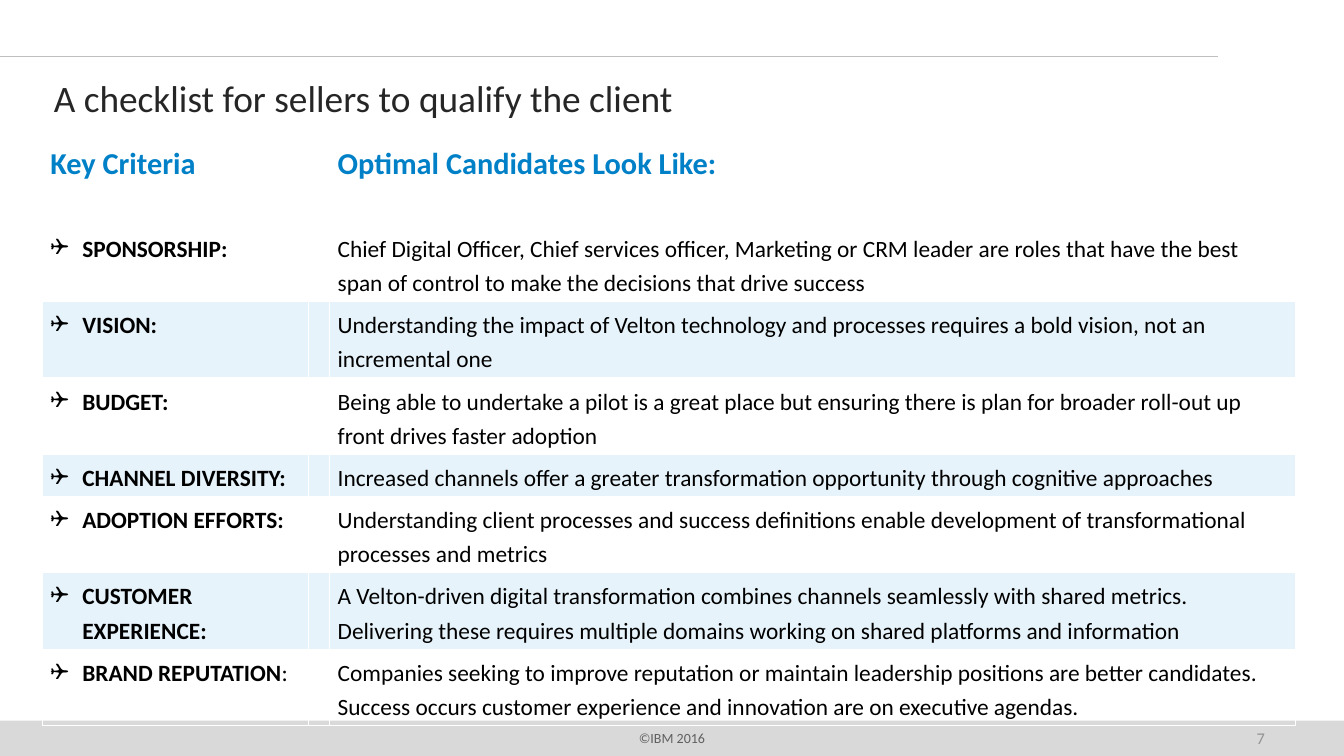
import pptx
import pptx.util
import pptx.dml.color
import pptx.enum.shapes
import pptx.enum.text
import pptx.oxml.ns
import lxml.etree

Inches = pptx.util.Inches
Pt = pptx.util.Pt
RGBColor = pptx.dml.color.RGBColor
qn = pptx.oxml.ns.qn
SubElement = lxml.etree.SubElement
ALIGN = pptx.enum.text.PP_ALIGN
ANCHOR = pptx.enum.text.MSO_ANCHOR

FONT = "Calibri"
BLACK = RGBColor(0x00, 0x00, 0x00)
TITLE_INK = RGBColor(0x26, 0x26, 0x26)
HEADER_BLUE = RGBColor(0x00, 0x80, 0xC7)
BAND_BLUE = RGBColor(0x6D, 0xB5, 0xE5)
FOOTER_GRAY = RGBColor(0xD9, 0xD9, 0xD9)
FOOTER_INK = RGBColor(0x60, 0x60, 0x60)
NUMBER_INK = RGBColor(0x92, 0x92, 0x92)
RULE_GRAY = RGBColor(0xBF, 0xBF, 0xBF)
BORDER_WHITE = RGBColor(0xFF, 0xFF, 0xFF)
BAND_OPACITY = 16

TITLE = "A checklist for sellers to qualify the client"
HEADERS = ("Key Criteria", "Optimal Candidates Look Like:")
CRITERIA = [
    ([("SPONSORSHIP:", True)],
     "Chief Digital Officer, Chief services officer, Marketing or CRM leader are roles "
     "that have the best span of control to make the decisions that drive success"),
    ([("VISION:", True)],
     "Understanding the impact of Velton technology and processes requires a bold "
     "vision, not an incremental one"),
    ([("BUDGET:", True)],
     "Being able to undertake a pilot is a great place but ensuring there is plan for "
     "broader roll-out up front drives faster adoption"),
    ([("CHANNEL DIVERSITY:", True)],
     "Increased channels offer a greater transformation opportunity through cognitive "
     "approaches"),
    ([("ADOPTION EFFORTS:", True)],
     "Understanding client processes and success definitions enable development of "
     "transformational processes and metrics"),
    ([("CUSTOMER EXPERIENCE:", True)],
     "A Velton-driven digital transformation combines channels seamlessly with shared "
     "metrics. Delivering these requires multiple domains working on shared platforms "
     "and information"),
    ([("BRAND REPUTATION", True), (":", False)],
     "Companies seeking to improve reputation or maintain leadership positions are "
     "better candidates. Success occurs customer experience and innovation are on "
     "executive agendas."),
]
COLUMN_WIDTHS = (3.17, 0.25, 11.5)
ROW_HEIGHTS = (1.0, 0.91, 0.91, 0.91, 0.5, 0.91, 0.91, 0.91)
FOOTER_TEXTS = [
    ("©IBM 2016", 4, 8, 12, FOOTER_INK, ALIGN.CENTER, ANCHOR.TOP, (0.1, 0.05)),
    ("7", 11.47, 3.73, 14, NUMBER_INK, ALIGN.RIGHT, ANCHOR.MIDDLE, (0.14, 0.07)),
]


def add_span(para, text, size, color, bold=False):
    span = para.add_run()
    span.text = text
    span.font.name = FONT
    span.font.size = Pt(size)
    span.font.bold = bold
    span.font.color.rgb = color


def set_margins(frame, side, end):
    frame.margin_left = frame.margin_right = Inches(side)
    frame.margin_top = frame.margin_bottom = Inches(end)


def add_checkbox(para):
    properties = para._p.get_or_add_pPr()
    properties.set("marL", str(Inches(0.38)))
    properties.set("indent", str(-Inches(0.38)))
    SubElement(properties, qn("a:buFont"), typeface="Wingdings")
    SubElement(properties, qn("a:buChar"), char="❑")


def style_cell(cell, row):
    properties = cell._tc.get_or_add_tcPr()
    for side in ("L", "R", "T", "B"):
        heavy = (row == 0 and side == "B") or (row == 1 and side == "T")
        line = SubElement(properties, qn(f"a:ln{side}"), w=str(Pt(3 if heavy else 1)))
        fill = SubElement(line, qn("a:solidFill"))
        SubElement(fill, qn("a:srgbClr"), val=str(BORDER_WHITE))
    if row > 0 and row % 2 == 0:
        cell.fill.solid()
        cell.fill.fore_color.rgb = BAND_BLUE
        color = properties.find(qn("a:solidFill")).find(qn("a:srgbClr"))
        SubElement(color, qn("a:alpha"), val=str(BAND_OPACITY * 1000))
    else:
        cell.fill.background()


def add_footer(page):
    bar = page.shapes.add_shape(pptx.enum.shapes.MSO_SHAPE.RECTANGLE,
                                Inches(0), Inches(8.58), Inches(16), Inches(0.42))
    bar.shadow.inherit = False
    bar.fill.solid()
    bar.fill.fore_color.rgb = FOOTER_GRAY
    bar.line.fill.background()
    for text, left, width, size, color, align, anchor, margins in FOOTER_TEXTS:
        box = page.shapes.add_textbox(Inches(left), Inches(8.64), Inches(width), Inches(0.3))
        frame = box.text_frame
        frame.word_wrap = True
        frame.vertical_anchor = anchor
        set_margins(frame, *margins)
        para = frame.paragraphs[0]
        para.alignment = align
        add_span(para, text, size, color)


def add_heading(page):
    rule = page.shapes.add_connector(pptx.enum.shapes.MSO_CONNECTOR.STRAIGHT,
                                     Inches(14.5), Inches(0.67), Inches(0), Inches(0.67))
    rule.line.color.rgb = RULE_GRAY
    rule.line.width = Pt(0.5)
    SubElement(rule._element.spPr, qn("a:effectLst"))
    title = page.shapes.title
    title.left, title.top = Inches(0.5), Inches(0.83)
    title.width, title.height = Inches(14.17), Inches(1.27)
    frame = title.text_frame
    frame.word_wrap = True
    frame.auto_size = pptx.enum.text.MSO_AUTO_SIZE.NONE
    frame.vertical_anchor = ANCHOR.TOP
    set_margins(frame, 0.14, 0.07)
    para = frame.paragraphs[0]
    para.alignment = ALIGN.LEFT
    add_span(para, TITLE, 32, TITLE_INK)


def add_checklist(page):
    table = page.shapes.add_table(len(ROW_HEIGHTS), len(COLUMN_WIDTHS), Inches(0.5),
                                  Inches(1.68), Inches(sum(COLUMN_WIDTHS)),
                                  Inches(sum(ROW_HEIGHTS))).table
    table.horz_banding = False
    for column, width in zip(table.columns, COLUMN_WIDTHS):
        column.width = Inches(width)
    for row, height in zip(table.rows, ROW_HEIGHTS):
        row.height = Inches(height)
    for row in range(len(ROW_HEIGHTS)):
        for column in range(len(COLUMN_WIDTHS)):
            style_cell(table.cell(row, column), row)
    for column, header in zip((0, 2), HEADERS):
        para = table.cell(0, column).text_frame.paragraphs[0]
        add_span(para, header, 26, HEADER_BLUE, True)
    for row, (labels, description) in enumerate(CRITERIA, 1):
        label_para, description_para = (
            table.cell(row, column).text_frame.paragraphs[0] for column in (0, 2))
        add_checkbox(label_para)
        label_para.line_spacing = description_para.line_spacing = 1.2
        for text, bold in labels:
            add_span(label_para, text, 20, BLACK, bold)
        add_span(description_para, description, 20, BLACK)


def main():
    deck = pptx.Presentation()
    deck.slide_width, deck.slide_height = Inches(16), Inches(9)
    page = deck.slides.add_slide(deck.slide_layouts[5])
    add_footer(page)
    add_heading(page)
    add_checklist(page)
    deck.save("out.pptx")


if __name__ == "__main__":
    main()
